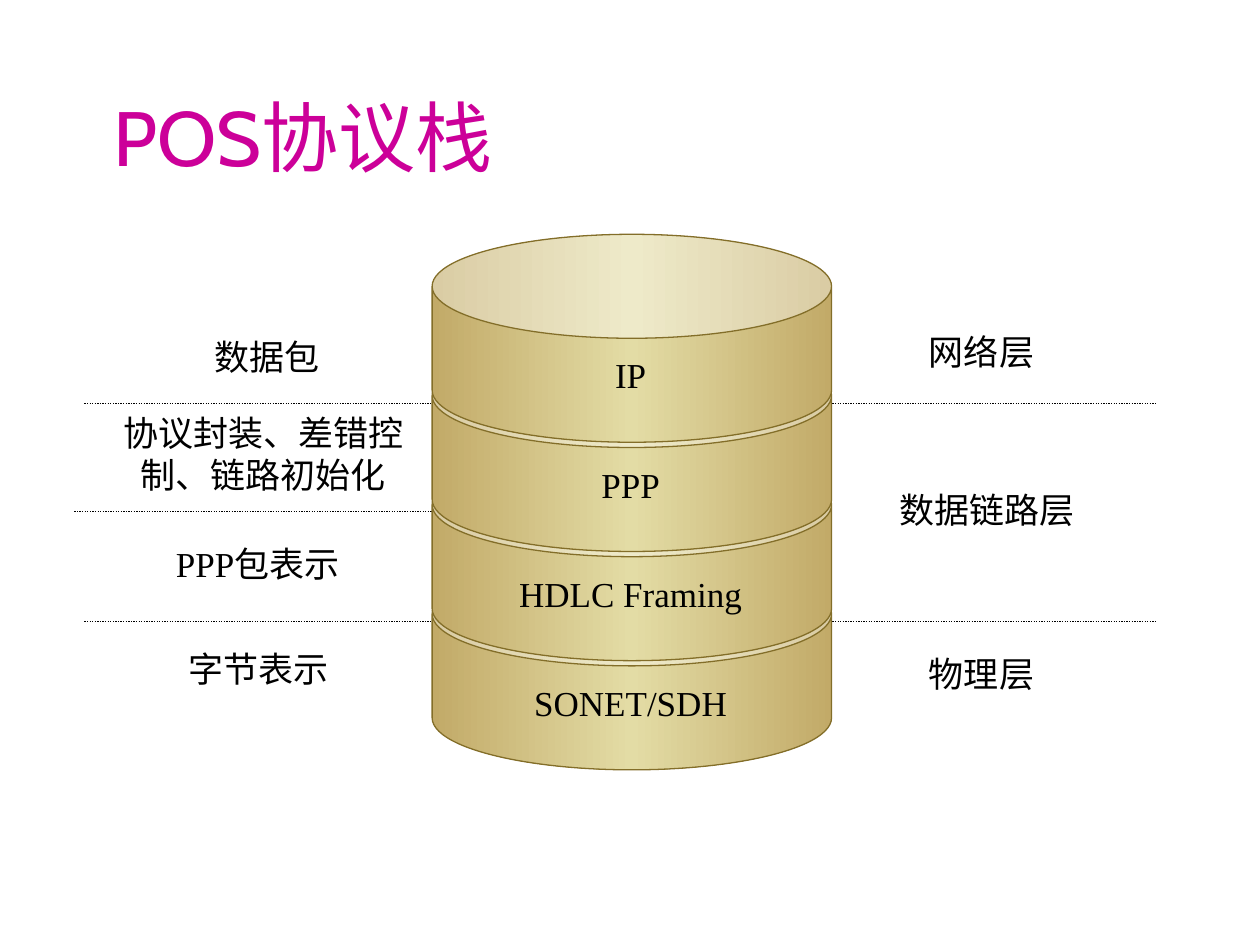
from copy import deepcopy
from dataclasses import dataclass

from lxml.etree import SubElement
from pptx import Presentation
from pptx.dml.color import RGBColor
from pptx.enum.dml import MSO_LINE
from pptx.enum.shapes import MSO_CONNECTOR, MSO_SHAPE
from pptx.enum.text import MSO_ANCHOR, MSO_AUTO_SIZE, PP_ALIGN
from pptx.oxml.ns import qn
from pptx.util import Inches, Pt


@dataclass(frozen=True)
class Theme:
    title: str = "CC0099"
    ink: str = "000000"
    edge: str = "836E29"
    dark: str = "C2AA68"
    light: str = "E3DCA5"
    head_font: str = "Cabin"
    body_font: str = "Times New Roman"
    head_size: int = 44
    body_size: int = 20
    line: float = 0.75


THEME = Theme()

RULES = [(0.59, 3.9, 4.06), (0.67, 9.17, 3.2), (0.67, 9.17, 4.93)]
NOTES = [
    ("数据包", 1.53, 2.61, 1.18, 0.43),
    ("协议封装、差错控制、链路初始化", 0.83, 3.22, 2.52, 0.77),
    ("PPP包表示", 1.14, 4.26, 1.81, 0.43),
    ("字节表示", 1.38, 5.09, 1.34, 0.43),
    ("网络层", 7.2, 2.57, 1.18, 0.43),
    ("数据链路层", 6.97, 3.83, 1.73, 0.43),
    ("物理层", 7.2, 5.13, 1.18, 0.43),
]
LAYERS = [("IP", 0.45), ("PPP", 0.67), ("HDLC Framing", 1.99), ("SONET/SDH", 1.75)]
LEFT, TOP, WIDTH, HEIGHT = 3.43, 1.86, 3.17, 1.65
STEP = 2.6 / 3


def color(code):
    return RGBColor.from_string(code)


def add_text(shapes, text, x, y, w, h, size=THEME.body_size, font=THEME.body_font,
             ink=THEME.ink, align=PP_ALIGN.CENTER, anchor=MSO_ANCHOR.TOP,
             wrap=True, fit=MSO_AUTO_SIZE.SHAPE_TO_FIT_TEXT):
    box = shapes.add_textbox(Inches(x), Inches(y), Inches(w), Inches(h))
    frame = box.text_frame
    frame.word_wrap = wrap
    frame.auto_size = fit
    frame.vertical_anchor = anchor
    para = frame.paragraphs[0]
    para.alignment = align
    run = para.add_run()
    run.text = text
    run.font.size = Pt(size)
    run.font.name = font
    run.font.color.rgb = color(ink)


def add_rule(shapes, start, end, y):
    rule = shapes.add_connector(MSO_CONNECTOR.STRAIGHT, Inches(start), Inches(y),
                                Inches(end), Inches(y))
    rule.line.color.rgb = color(THEME.ink)
    rule.line.width = Pt(THEME.line)
    rule.line.dash_style = MSO_LINE.ROUND_DOT
    SubElement(rule._element.spPr, qn("a:effectLst"))


def fill_sheen(fill):
    """Blend dark to light and back to dark, from left to right."""
    fill.gradient()
    fill.gradient_angle = 0
    first, last = fill.gradient_stops
    for stop, place in ((first, 0), (last, 1)):
        stop.color.rgb = color(THEME.dark)
        stop.position = place
    ends = fill._xPr.find(qn("a:gradFill")).find(qn("a:gsLst"))
    ends.insert(1, deepcopy(ends[0]))
    middle = fill.gradient_stops[1]
    middle.color.rgb = color(THEME.light)
    middle.position = 0.5


def add_can(shapes, y):
    can = shapes.add_shape(MSO_SHAPE.CAN, Inches(LEFT), Inches(y),
                           Inches(WIDTH), Inches(HEIGHT))
    can.adjustments[0] = 0.5
    can.shadow.inherit = False
    fill_sheen(can.fill)
    can.line.color.rgb = color(THEME.edge)
    can.line.width = Pt(THEME.line)


def add_stack(shapes):
    """Stack the layers from the bottom up, so that each can covers the lid below."""
    group = shapes.add_group_shape()
    for row, (name, width) in reversed(list(enumerate(LAYERS))):
        y = TOP + row * STEP
        add_can(group.shapes, y)
        add_text(group.shapes, name, LEFT + (WIDTH - width) / 2 - 0.01, y + 0.9,
                 width, 0.44, wrap=False)


def main():
    deck = Presentation()
    deck.slide_width, deck.slide_height = Inches(10), Inches(7.5)
    shapes = deck.slides.add_slide(deck.slide_layouts[6]).shapes
    for rule in RULES:
        add_rule(shapes, *rule)
    add_text(shapes, "POS协议栈", 0.8, 0.74, 7.75, 0.75, size=THEME.head_size,
             font=THEME.head_font, ink=THEME.title, align=PP_ALIGN.LEFT,
             anchor=MSO_ANCHOR.BOTTOM, fit=MSO_AUTO_SIZE.NONE)
    for note in NOTES:
        add_text(shapes, *note)
    add_stack(shapes)
    deck.save("out.pptx")


if __name__ == "__main__":
    main()
